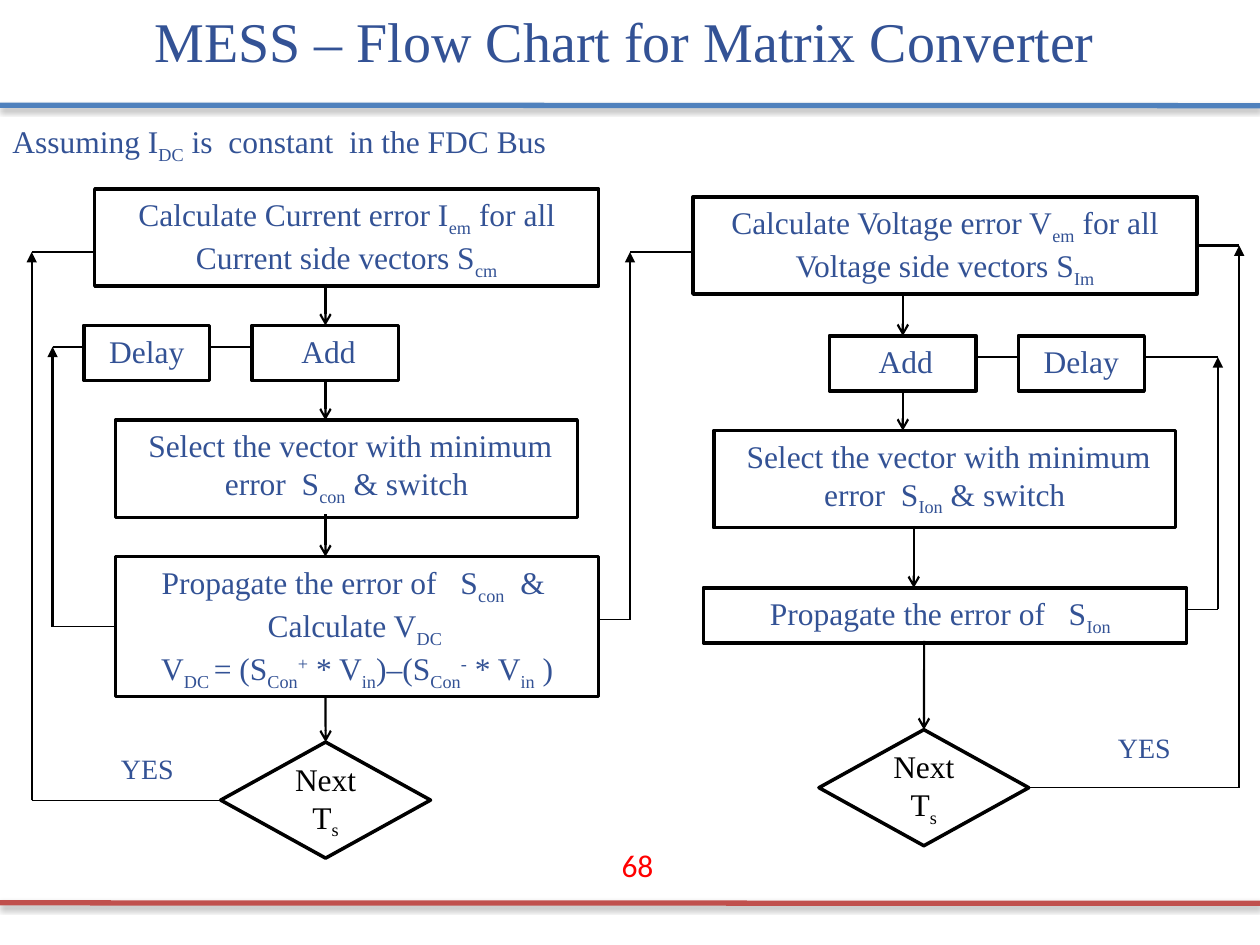
"""Build the matrix converter flow chart slide."""
from lxml import etree
from pptx import Presentation
from pptx.dml.color import RGBColor
from pptx.enum.shapes import MSO_CONNECTOR, MSO_SHAPE
from pptx.enum.text import MSO_ANCHOR, MSO_AUTO_SIZE, PP_ALIGN
from pptx.oxml import parse_xml
from pptx.oxml.ns import nsdecls, qn
from pptx.util import Cm, Pt

STRAIGHT = MSO_CONNECTOR.STRAIGHT
RECTANGLE, DECISION = MSO_SHAPE.RECTANGLE, MSO_SHAPE.FLOWCHART_DECISION
LEFT, CENTER = PP_ALIGN.LEFT, PP_ALIGN.CENTER
MIDDLE, GROW = MSO_ANCHOR.MIDDLE, MSO_AUTO_SIZE.SHAPE_TO_FIT_TEXT
TOP_SITE, LEFT_SITE, BOTTOM_SITE, RIGHT_SITE = range(4)
BLACK, WHITE = RGBColor(0, 0, 0), RGBColor(255, 255, 255)
NAVY, RED = RGBColor(0x33, 0x52, 0x95), RGBColor(255, 0, 0)
BLUE_RULE, RED_RULE = RGBColor(0x4F, 0x81, 0xBD), RGBColor(0xC0, 0x50, 0x4D)
SERIF, SANS = "Times New Roman", "Calibri"
BASELINES = {"_": "-25000", "^": "30000"}
THIN, NORMAL = 0.75, 1.25

RULES = [(2.12, BLUE_RULE), (18.2, RED_RULE)]
LABELS = [
    ("MESS – Flow Chart for Matrix Converter", (1.06, 0, 23.07, 1.62), 32, CENTER, SERIF, NAVY),
    ("Assuming I|_DC| is  constant  in the FDC Bus", (0, 2.33, 13.55, 1.11), 18, LEFT, SERIF, NAVY),
    ("YES", (1.91, 15.03, 2.12, 0.94), 16, CENTER, SERIF, NAVY),
    ("YES", (22.01, 14.61, 2.12, 0.94), 16, CENTER, SERIF, NAVY),
    ("68", (12.28, 16.93, 1.48, 1.03), 18, LEFT, SANS, RED),
]
STEPS = {
    "current error": ("Calculate Current error I|_em| for all Current side vectors S|_cm",
                      (1.91, 3.81, 10.16, 1.96)),
    "current add": (" Add", (5.08, 6.56, 2.96, 1.11)),
    "current select": (" Select the vector with minimum error  S|_con| & switch",
                       (2.33, 8.47, 9.31, 1.96)),
    "current propagate": ("Propagate the error of   S|_con|  & \nCalculate V|_DC \n"
                          "V|_DC |= (S|_Con|^+| * V|_in|)–(S|_Con|^-| * V|_in| )",
                          (2.33, 11.22, 9.74, 2.82)),
    "voltage error": ("Calculate Voltage error V|_em| for all Voltage side vectors S|_Im",
                      (13.97, 3.97, 10.16, 1.96)),
    "voltage add": (" Add", (16.72, 6.77, 2.96, 1.11)),
    "voltage select": (" Select the vector with minimum error  S|_Ion| & switch",
                       (14.39, 8.68, 9.31, 1.96)),
    "voltage propagate": ("Propagate the error of   S|_Ion  ", (14.18, 11.85, 9.74, 1.11)),
}
DECISIONS = {
    "current next": ("Next T|_s", (4.45, 14.96, 4.23, 2.34)),
    "voltage next": ("Next T|_s", (16.51, 14.71, 4.23, 2.34)),
}
DELAYS = [(1.69, 6.56, 2.54, 1.11), (20.53, 6.77, 2.54, 1.11)]
LINES = [
    ((0.64, 16.13), (0.64, 5.08), NORMAL, "triangle"),
    ((0.64, 5.08), (1.91, 5.08), NORMAL, None),
    ((0.64, 16.13), ("current next", LEFT_SITE), THIN, None),
    ((6.56, 14.04), ("current next", TOP_SITE), NORMAL, "arrow"),
    ((6.56, 5.72), ("current add", TOP_SITE), NORMAL, "arrow"),
    (("current add", BOTTOM_SITE), (6.56, 8.47), NORMAL, "arrow"),
    ((6.56, 10.37), (6.56, 11.22), NORMAL, "arrow"),
    ((1.06, 12.63), (1.06, 6.99), NORMAL, "triangle"),
    ((1.06, 6.99), (5.08, 6.99), NORMAL, None),
    ((1.06, 12.63), ("current propagate", LEFT_SITE), THIN, None),
    ((12.7, 12.49), (12.7, 5.08), NORMAL, "triangle"),
    ((12.07, 12.49), (12.7, 12.49), THIN, None),
    ((12.7, 5.08), (13.97, 5.08), NORMAL, None),
    ((18.2, 5.93), ("voltage add", TOP_SITE), NORMAL, "arrow"),
    (("voltage add", BOTTOM_SITE), (18.2, 8.68), NORMAL, "arrow"),
    ((18.42, 10.6), (18.42, 11.85), NORMAL, "arrow"),
    ((18.63, 12.92), ("voltage next", TOP_SITE), NORMAL, "arrow"),
    ((19.69, 7.2), (24.55, 7.2), NORMAL, None),
    ((24.55, 12.28), (24.55, 7.2), NORMAL, "triangle"),
    ((23.92, 12.28), (24.55, 12.28), THIN, None),
    (("voltage error", RIGHT_SITE), (24.98, 4.95), NORMAL, None),
    ((24.98, 15.88), (24.98, 4.95), NORMAL, "triangle"),
    (("voltage next", RIGHT_SITE), (24.98, 15.88), THIN, None),
]
SHADOW = (f'<a:effectLst {nsdecls("a")}><a:outerShdw blurRad="39370" dist="22860" '
          'dir="5400000" rotWithShape="0"><a:srgbClr val="000000"><a:alpha val="35000"/>'
          '</a:srgbClr></a:outerShdw></a:effectLst>')
NO_SHADOW = f'<a:effectLst {nsdecls("a")}/>'


def write_text(shape, text, size=18, alignment=CENTER, font=SERIF, color=NAVY):
    """Write text whose parts are split by bars, with _ and ^ marking sub- and superscripts."""
    frame = shape.text_frame
    frame.word_wrap = True
    for index, line in enumerate(text.split("\n")):
        paragraph = frame.add_paragraph() if index else frame.paragraphs[0]
        paragraph.alignment = alignment
        for part in line.split("|"):
            run = paragraph.add_run()
            baseline = BASELINES.get(part[0])
            run.text = part[1:] if baseline else part
            run.font.size, run.font.name = Pt(size), font
            run.font.color.rgb = color
            if baseline:
                run.font._element.set("baseline", baseline)


def add_node(slide, preset, text, box, color=NAVY):
    """Add an outlined step or decision."""
    shape = slide.shapes.add_shape(preset, *map(Cm, box))
    shape.shadow.inherit = False
    shape.line.color.rgb, shape.line.width = BLACK, Pt(2)
    if preset == DECISION:
        shape.fill.background()
        shape.text_frame.vertical_anchor = MIDDLE
    else:
        shape.fill.solid()
        shape.fill.fore_color.rgb = WHITE
        shape.text_frame.vertical_anchor = MSO_ANCHOR.TOP
        shape.text_frame.auto_size = GROW
    write_text(shape, text, color=color)
    return shape


def add_line(slide, start, end, width, color=BLACK, head=None, effect=NO_SHADOW):
    """Add a straight line with an optional arrowhead at its end."""
    line = slide.shapes.add_connector(STRAIGHT, *map(Cm, start + end))
    line.line.color.rgb, line.line.width = color, Pt(width)
    if head:
        etree.SubElement(line.line._get_or_add_ln(), qn("a:tailEnd"), type=head)
    line._element.spPr.append(parse_xml(effect))
    return line


def add_link(slide, nodes, start, end, width, head):
    """Add a flow line, joining each end that names a node."""
    start_joined, end_joined = start[0] in nodes, end[0] in nodes
    line = add_line(slide, (0, 0) if start_joined else start,
                    (0, 0) if end_joined else end, width, head=head)
    if start_joined:
        line.begin_connect(nodes[start[0]], start[1])
    if end_joined:
        line.end_connect(nodes[end[0]], end[1])


def main():
    """Assemble and save the slide."""
    presentation = Presentation()
    presentation.slide_width, presentation.slide_height = Cm(25.4), Cm(19.05)
    slide = presentation.slides.add_slide(presentation.slide_layouts[6])
    for top, color in RULES:
        add_line(slide, (0, top), (25.4, top + 0.01), 3, color, effect=SHADOW)
    for text, box, *style in LABELS:
        label = slide.shapes.add_textbox(*map(Cm, box))
        label.text_frame.auto_size = GROW
        write_text(label, text, *style)
    nodes = {name: add_node(slide, RECTANGLE, *step) for name, step in STEPS.items()}
    for name, decision in DECISIONS.items():
        nodes[name] = add_node(slide, DECISION, *decision, color=BLACK)
    for line in LINES:
        add_link(slide, nodes, *line)
    for box in DELAYS:
        add_node(slide, RECTANGLE, " Delay ", box)
    presentation.save("out.pptx")


if __name__ == "__main__":
    main()
